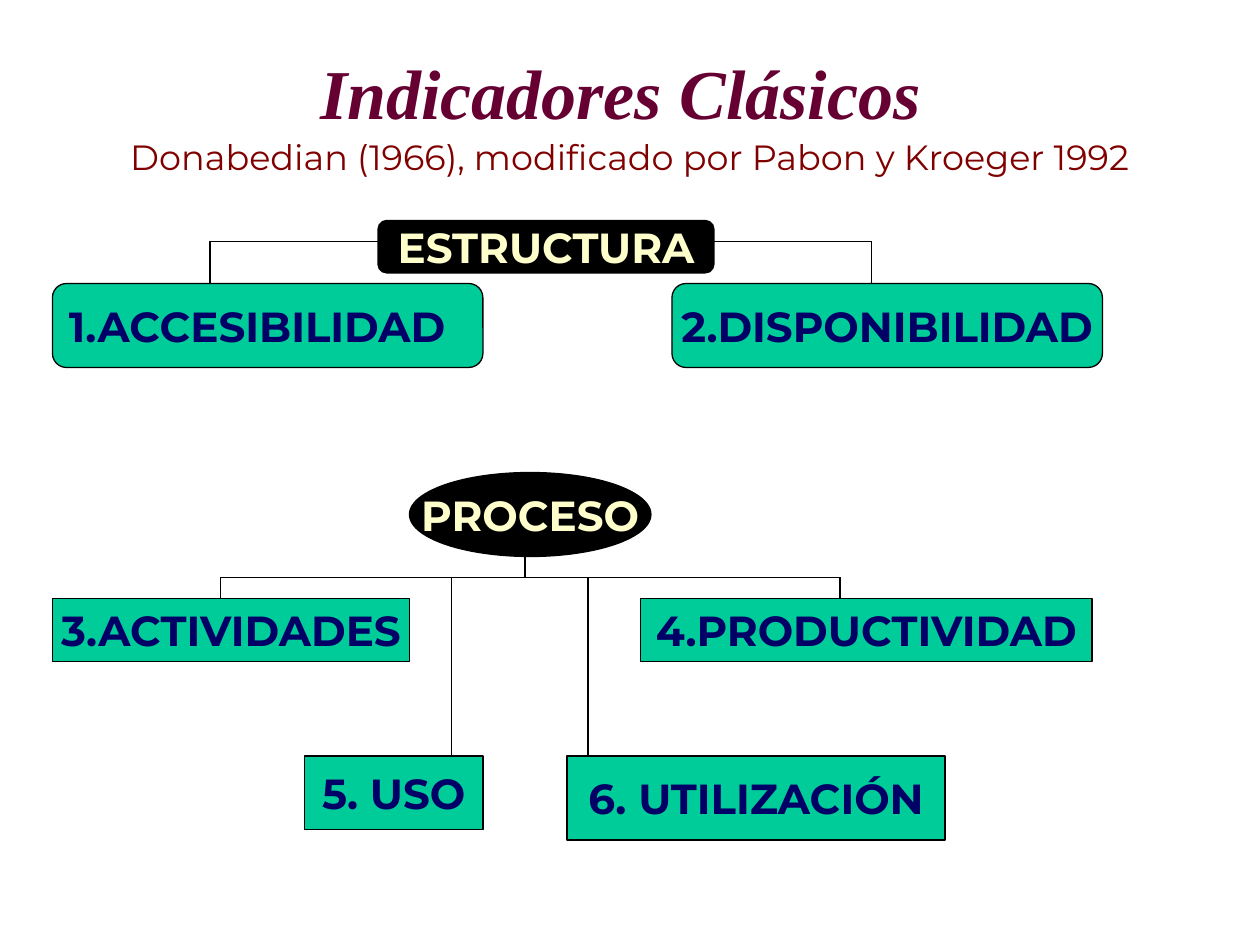
from typing import NamedTuple

from lxml.etree import SubElement
from pptx import Presentation
from pptx.dml.color import RGBColor
from pptx.enum.shapes import MSO_CONNECTOR, MSO_SHAPE
from pptx.enum.text import MSO_ANCHOR, MSO_AUTO_SIZE, PP_ALIGN
from pptx.oxml.ns import qn
from pptx.util import Inches, Pt

COLUMNS, ROWS = 120, 90
WIDTH, HEIGHT = Inches(10), Inches(7.5)
BLACK, GREEN, CREAM, NAVY = "000000", "00CC99", "FFFFCC", "000066"


class Box(NamedTuple):
    """A region measured in grid columns and rows."""
    left: float
    top: float
    width: float
    height: float

    def inner(self, left, top, width, height):
        """Return a box placed relative to this one."""
        return Box(self.left + left, self.top + top, width, height)

    def emu(self):
        """Return left, top, width and height as slide lengths."""
        column, row = WIDTH / COLUMNS, HEIGHT / ROWS
        return (round(self.left * column), round(self.top * row),
                round(self.width * column), round(self.height * row))


def rgb(value):
    """Turn a hex string into a colour."""
    return RGBColor.from_string(value)


def add_run(paragraph, text, size, color, font="Montserrat", bold=False, italic=False):
    """Add one formatted run to a paragraph."""
    run = paragraph.add_run()
    run.text = text
    run.font.size, run.font.name = Pt(size), font
    run.font.bold, run.font.italic = bold, italic
    run.font.color.rgb = rgb(color)


def add_node(slide, box, preset, label, fill, color, align=PP_ALIGN.CENTER):
    """Draw one labelled node of a tree."""
    node = slide.shapes.add_shape(preset, *box.emu())
    node.shadow.inherit = False
    node.fill.solid()
    node.fill.fore_color.rgb = rgb(fill)
    node.line.color.rgb = rgb(BLACK)
    node.line.width = Pt(0.75)
    frame = node.text_frame
    frame.word_wrap = False
    frame.vertical_anchor = MSO_ANCHOR.MIDDLE
    frame.paragraphs[0].alignment = align
    add_run(frame.paragraphs[0], label, 24, color, bold=True)


def add_branch(slide, box, start, end):
    """Draw a straight line between two grid points of a box."""
    left, top, width, height = box.inner(*start, end[0] - start[0], end[1] - start[1]).emu()
    branch = slide.shapes.add_connector(
        MSO_CONNECTOR.STRAIGHT, left, top, left + width, top + height)
    branch.line.color.rgb = rgb(BLACK)
    branch.line.width = Pt(0.75)
    SubElement(branch._element.spPr, qn("a:effectLst"))


def add_heading(slide, box):
    """Fill the title placeholder with the title and its source line."""
    heading = slide.shapes.title
    heading.left, heading.top, heading.width, heading.height = box.emu()
    frame = heading.text_frame
    frame.word_wrap = True
    frame.auto_size = MSO_AUTO_SIZE.NONE
    frame.vertical_anchor = MSO_ANCHOR.MIDDLE
    paragraph = frame.paragraphs[0]
    paragraph.alignment = PP_ALIGN.CENTER
    add_run(paragraph, "Indicadores Clásicos", 40, "660033", "Times New Roman", True, True)
    add_run(paragraph, " ", 44, BLACK, "Times New Roman")
    paragraph.add_line_break()
    add_run(paragraph, "Donabedian (1966), modificado por Pabon y Kroeger 1992", 20, "800000")


def add_structure(slide, box):
    """Draw the structure tree with its two indicators."""
    rail, leaf_top, leaf_width = 2, 6, 41
    rounded = MSO_SHAPE.ROUNDED_RECTANGLE
    add_node(slide, box.inner(31, 0, 32, 5), rounded, "ESTRUCTURA", BLACK, CREAM)
    leaves = [("1.ACCESIBILIDAD", 0, PP_ALIGN.LEFT),
              ("2.DISPONIBILIDAD", box.width - leaf_width, PP_ALIGN.CENTER)]
    for label, left, align in leaves:
        leaf = box.inner(left, leaf_top, leaf_width, box.height - leaf_top)
        add_node(slide, leaf, rounded, label, GREEN, NAVY, align)
    for root_edge, drop in [(31, 15), (63, 78)]:
        add_branch(slide, box, (root_edge, rail), (drop, rail))
        add_branch(slide, box, (drop, rail), (drop, leaf_top))


def add_process(slide, box):
    """Draw the process tree with its four indicators."""
    root_height, rail, stem = 8, 10, 45
    add_node(slide, box.inner(34, 0, 23, root_height), MSO_SHAPE.OVAL, "PROCESO", BLACK, CREAM)
    leaves = [("3.ACTIVIDADES", (0, 12, 34, 6), 16),
              ("4.PRODUCTIVIDAD", (56, 12, 43, 6), 75),
              ("5. USO", (24, 27, 17, 7), 38),
              ("6. UTILIZACIÓN", (49, 27, 36, 8), 51)]
    for label, place, drop in leaves:
        add_node(slide, box.inner(*place), MSO_SHAPE.RECTANGLE, label, GREEN, NAVY)
        add_branch(slide, box, (drop, rail), (drop, place[1]))
    drops = [drop for _, _, drop in leaves]
    add_branch(slide, box, (min(drops), rail), (max(drops), rail))
    add_branch(slide, box, (stem, root_height), (stem, rail))


def main():
    """Build and save the slide."""
    deck = Presentation()
    deck.slide_width, deck.slide_height = WIDTH, HEIGHT
    slide = deck.slides.add_slide(deck.slide_layouts[5])
    add_heading(slide, Box(9, 2, 102, 17))
    add_structure(slide, Box(5, 21, 100, 14))
    add_process(slide, Box(5, 45, 99, 35))
    deck.save("out.pptx")


if __name__ == "__main__":
    main()
